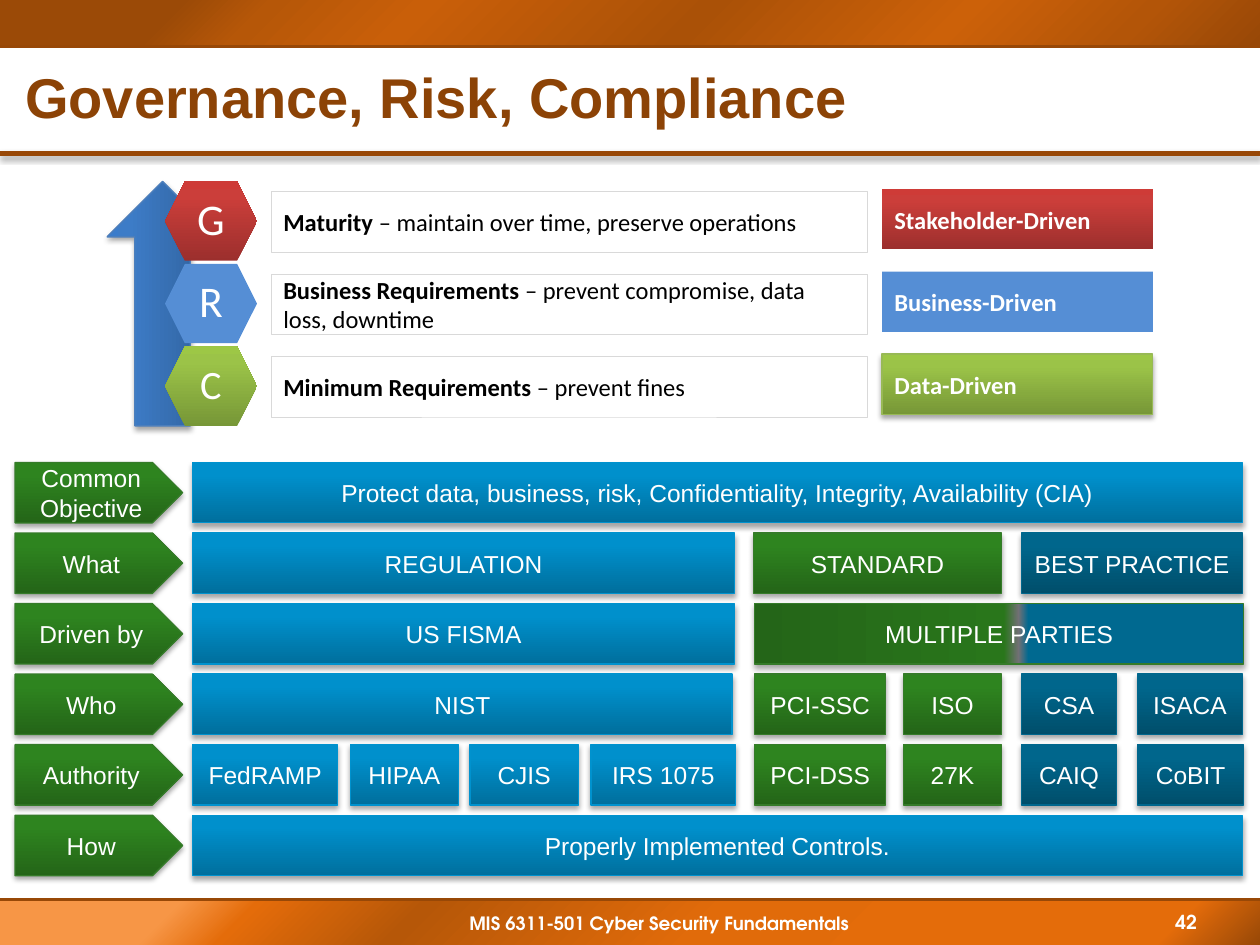
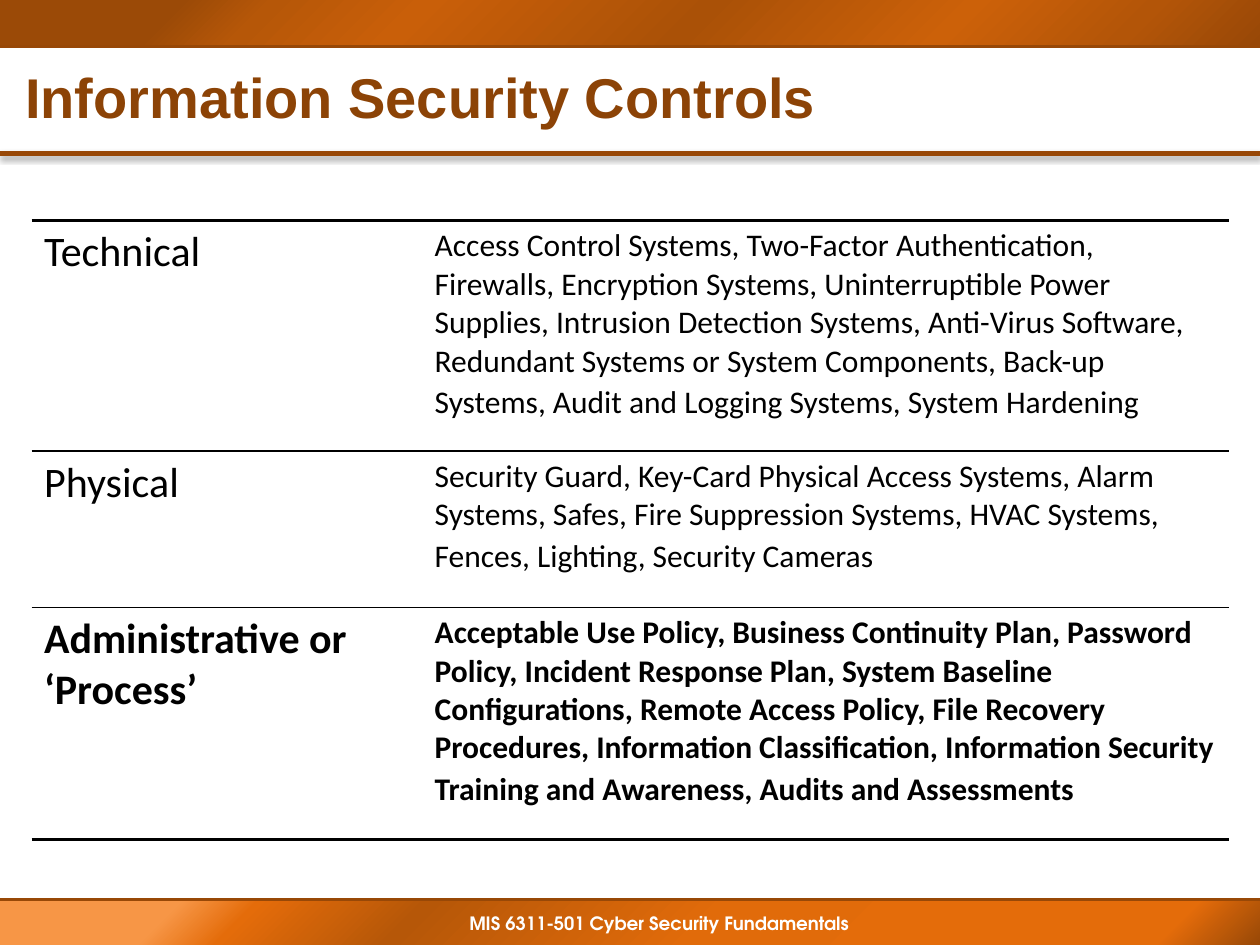
from lxml import etree
from pptx import Presentation
from pptx.dml.color import RGBColor
from pptx.enum.shapes import MSO_CONNECTOR, MSO_SHAPE
from pptx.enum.text import MSO_ANCHOR, PP_ALIGN
from pptx.oxml import parse_xml
from pptx.oxml.ns import nsdecls, qn
from pptx.util import Inches, Pt

RECT, HEXAGON = MSO_SHAPE.RECTANGLE, MSO_SHAPE.HEXAGON
ARROW, LABEL = MSO_SHAPE.RIGHT_ARROW, MSO_SHAPE.PENTAGON
STRAIGHT = MSO_CONNECTOR.STRAIGHT
LEFT, CENTER = PP_ALIGN.LEFT, PP_ALIGN.CENTER
TOP, MIDDLE = MSO_ANCHOR.TOP, MSO_ANCHOR.MIDDLE

# Palette: a fill is a hex string or (angle, gradient stops)
BROWN, TITLE, WHITE, BLACK = "984807", "8C4306", "FFFFFF", "000000"
HEADER = (45, [(14, "9B4A07"), (21, "B65708"), (33, "C95F09"), (55, "AA5107"),
               (75, "CC6109"), (89, "B35508"), (100, BROWN)])
FOOTER = (45, [(14, "F79646"), (20, "E46C0A"), (33, "B65708"), (56, "E16B0A"),
               (78, "E46C0A"), (92, "E46C0A"), (100, BROWN)])
RED = (270, [(0, "9C2F2D"), (80, "CB3E3A"), (100, "CE3B37")])
LIME = (270, [(0, "779737"), (80, "9BC348"), (100, "9DC746")])
ARROW_BLUE = (270, [(0, "2F5F99"), (80, "3D7CC7"), (100, "3A7CCB")])
BLUE = (270, [(0, "006F9D"), (80, "0090CC"), (100, "0091CD")])
GREEN = (270, [(0, "246518"), (80, "2E841F"), (100, "2D861D")])
TEAL = (270, [(0, "004E6B"), (80, "00668C"), (100, "00668C")])
MIXED = (0, [(0, "246518"), (51, "29761B"), (54, "717074"), (56, "006990"), (100, "006990")])
SKY = "558ED5"
BLUE_LINE, GREEN_LINE, TEAL_LINE, LIME_LINE = "0092CE", "357B29", "00678D", "98B955"
SOFT = (35, 1.8)  # shadow opacity and distance


def paint(sp, fill=None, line=None, width=0.75, shadow=None):
    """Set fill, outline and shadow of a shape or connector."""
    spPr = sp._element.spPr
    if isinstance(fill, str):
        sp.fill.solid()
        sp.fill.fore_color.rgb = RGBColor.from_string(fill)
    elif fill:
        angle, stops = fill
        gs = "".join(f'<a:gs pos="{pos * 1000}"><a:srgbClr val="{c}"/></a:gs>' for pos, c in stops)
        sp.fill.gradient()
        spPr.replace(spPr.find(qn("a:gradFill")), parse_xml(
            f'<a:gradFill {nsdecls("a")} rotWithShape="1"><a:gsLst>{gs}</a:gsLst>'
            f'<a:lin ang="{angle * 60000}" scaled="0"/></a:gradFill>'))
    if line:
        sp.line.color.rgb = RGBColor.from_string(line)
        sp.line.width = Pt(width)
    else:
        sp.line.fill.background()
    effects = etree.SubElement(spPr, qn("a:effectLst"))
    if shadow:
        opacity, dist = shadow
        effects.append(parse_xml(
            f'<a:outerShdw {nsdecls("a")} blurRad="{Pt(3.1)}" dist="{Pt(dist)}" dir="5400000" '
            f'rotWithShape="0"><a:srgbClr val="{BLACK}"><a:alpha val="{opacity * 1000}"/>'
            f'</a:srgbClr></a:outerShdw>'))


def write(tf, *texts, size=14, font="Arial", color=WHITE, bold=(False,), align=CENTER,
          anchor=MIDDLE, spacing=None, margins=(0.1, 0.05, 0.1, 0.05)):
    """Write runs into one paragraph; bold holds one flag per run."""
    tf.word_wrap = True
    tf.vertical_anchor = anchor
    tf.margin_left, tf.margin_top, tf.margin_right, tf.margin_bottom = map(Inches, margins)
    p = tf.paragraphs[0]
    p.alignment = align
    if spacing:
        p.line_spacing = spacing
    for text, flag in zip(texts, bold):
        r = p.add_run()
        r.text = text
        r.font.size, r.font.name, r.font.bold = Pt(size), font, flag
        r.font.color.rgb = RGBColor.from_string(color)


prs = Presentation()
prs.slide_width, prs.slide_height = Inches(10), Inches(7.5)

# Shared bands, rules, footer and title
for title in ("Governance, Risk, Compliance", "Information Security Controls"):
    s = prs.slides.add_slide(prs.slide_layouts[6])
    for top, fill in ((7.14, FOOTER), (0, HEADER)):
        sp = s.shapes.add_shape(RECT, 0, Inches(top), Inches(10), Inches(0.36))
        paint(sp, fill)
    for y, width, shadow in ((1.22, 3, (38, 1.6)), (7.14, 1.5, None), (0.37, 1.5, None)):
        cn = s.shapes.add_connector(STRAIGHT, 0, Inches(y), Inches(10), Inches(y))
        paint(cn, line=BROWN, width=width, shadow=shadow)
    tb = s.shapes.add_textbox(Inches(1.42), Inches(7.19), Inches(7.42), Inches(0.29))
    write(tb.text_frame, "MIS 6311-501 Cyber Security Fundamentals", size=10.5,
          font="TeX Gyre Adventor", bold=(True,), anchor=TOP, margins=(0.3, 0.05, 0.1, 0.05))
    tb = s.shapes.add_textbox(0, Inches(0.42), Inches(10), Inches(0.75))
    write(tb.text_frame, title, size=32, color=TITLE, bold=(True,), align=LEFT,
          spacing=0.9, margins=(0.2, 0.05, 0.1, 0.05))

# Slide 1: page number
s = prs.slides[0]
tb = s.shapes.add_textbox(Inches(9), Inches(7.17), Inches(0.83), Inches(0.29))
write(tb.text_frame, "42", size=11, font="TeX Gyre Adventor", bold=(True,))

# Upward arrow behind the hexagons
sp = s.shapes.add_shape(ARROW, Inches(0.32), Inches(1.97), Inches(1.94), Inches(0.88))
sp.rotation = 270
paint(sp, ARROW_BLUE, "4B7EBC", shadow=SOFT)

# G, R, C levels: hexagon, explanation, driver
levels = [
    ("G", 25, "Maturity", " – maintain over time, preserve operations",
     "Stakeholder-Driven", RED, None, None),
    ("R", 25, "Business Requirements ", "– prevent compromise, data loss, downtime",
     "Business-Driven", SKY, None, None),
    ("C", 23, "Minimum Requirements", " – prevent fines",
     "Data-Driven", LIME, LIME_LINE, SOFT),
]
for i, (letter, size, name, detail, driver, fill, line, shadow) in enumerate(levels):
    y = 1.44 + 0.655 * i
    sp = s.shapes.add_shape(HEXAGON, Inches(1.31), Inches(y), Inches(0.73), Inches(0.63))
    paint(sp, fill)
    write(sp.text_frame, letter, size=size, font="Calibri", spacing=0.9, margins=(0, 0, 0, 0))
    sp = s.shapes.add_shape(RECT, Inches(2.15), Inches(y + 0.08), Inches(4.73), Inches(0.48))
    paint(sp, WHITE, "D9D9D9", 0.25)
    write(sp.text_frame, name, detail, font="Calibri", color=BLACK, bold=(True, False), align=LEFT)
    sp = s.shapes.add_shape(RECT, Inches(7), Inches(y + 0.06), Inches(2.15), Inches(0.48))
    paint(sp, fill, line, shadow=shadow)
    write(sp.text_frame, driver, font="Calibri", bold=(True,), align=LEFT)

# Framework grid: row label, then (text, left, width, fill, line)
rows = [
    ("Common Objective", [
        ("Protect data, business, risk, Confidentiality, Integrity, Availability (CIA)",
         1.53, 8.33, BLUE, BLUE_LINE)]),
    ("What", [
        ("REGULATION", 1.53, 4.3, BLUE, BLUE_LINE),
        ("STANDARD", 5.98, 1.97, GREEN, GREEN_LINE),
        ("BEST PRACTICE", 8.11, 1.75, TEAL, TEAL_LINE)]),
    ("Driven by", [
        ("US FISMA", 1.53, 4.3, BLUE, BLUE_LINE),
        ("MULTIPLE PARTIES", 5.99, 3.88, MIXED, GREEN_LINE)]),
    ("Who", [
        ("NIST", 1.53, 4.28, BLUE, BLUE_LINE),
        ("PCI-SSC", 5.99, 1.04, GREEN, GREEN_LINE),
        ("ISO", 7.17, 0.78, GREEN, GREEN_LINE),
        ("CSA", 8.11, 0.75, TEAL, TEAL_LINE),
        ("ISACA", 9.03, 0.83, TEAL, TEAL_LINE)]),
    ("Authority", [
        ("FedRAMP", 1.53, 1.15, BLUE, BLUE_LINE),
        ("HIPAA", 2.78, 0.86, BLUE, BLUE_LINE),
        ("CJIS", 3.73, 0.86, BLUE, BLUE_LINE),
        ("IRS 1075", 4.69, 1.15, BLUE, BLUE_LINE),
        ("PCI-DSS", 5.99, 1.04, GREEN, GREEN_LINE),
        ("27K", 7.17, 0.78, GREEN, GREEN_LINE),
        ("CAIQ", 8.11, 0.75, TEAL, TEAL_LINE),
        ("CoBIT", 9.03, 0.84, TEAL, TEAL_LINE)]),
    ("How", [
        ("Properly Implemented Controls.", 1.53, 8.33, BLUE, BLUE_LINE)]),
]
for i, (label, boxes) in enumerate(rows):
    y = 3.67 + 0.56 * i
    label_box = (label, 0.12, 1.33, GREEN, GREEN_LINE)
    for text, x, w, fill, line in [label_box] + boxes:
        kind = LABEL if text == label else RECT
        sp = s.shapes.add_shape(kind, Inches(x), Inches(y), Inches(w), Inches(0.48))
        paint(sp, fill, line, shadow=SOFT)
        write(sp.text_frame, text)

# Slide 2: table of controls; rules are (top, bottom) widths in points
s = prs.slides[1]
controls = [
    ("Technical",
     "Access Control Systems, Two-Factor Authentication, Firewalls, Encryption Systems, "
     "Uninterruptible Power Supplies, Intrusion Detection Systems, Anti-Virus Software, "
     "Redundant Systems or System Components, Back-up Systems, Audit and Logging Systems, "
     "System Hardening", 1.83, (2, 1), False),
    ("Physical",
     "Security Guard, Key-Card Physical Access Systems, Alarm Systems, Safes, Fire Suppression "
     "Systems, HVAC Systems, Fences, Lighting, Security Cameras", 1.24, (1, 1), False),
    ("Administrative or ‘Process’",
     "Acceptable Use Policy, Business Continuity Plan, Password Policy, Incident Response Plan, "
     "System Baseline Configurations, Remote Access Policy, File Recovery Procedures, "
     "Information Classification, Information Security Training and Awareness, "
     "Audits and Assessments", 1.84, (1, 2), True),
]
table = s.shapes.add_table(3, 2, Inches(0.25), Inches(1.75), Inches(9.5), Inches(4.91)).table
table.first_row = table.horz_banding = False
table.columns[0].width, table.columns[1].width = Inches(3.1), Inches(6.4)
for i, (name, examples, height, (top, bottom), bold) in enumerate(controls):
    table.rows[i].height = Inches(height)
    for j, (text, size) in enumerate(((name, 24), (examples, 18))):
        cell = table.cell(i, j)
        cell.fill.solid()
        cell.fill.fore_color.rgb = RGBColor.from_string(WHITE)
        write(cell.text_frame, text, size=size, font="Calibri", color=BLACK,
              bold=(bold,), align=LEFT, anchor=TOP)
        tcPr = cell._tc.get_or_add_tcPr()
        for k, (side, width) in enumerate((("L", 0), ("R", 0), ("T", top), ("B", bottom))):
            stroke = (f'<a:solidFill><a:srgbClr val="{BLACK}"/></a:solidFill>'
                      if width else "<a:noFill/>")
            tcPr.insert(k, parse_xml(
                f'<a:ln{side} {nsdecls("a")} w="{Pt(width)}">{stroke}</a:ln{side}>'))
    # The examples end in a slightly taller space
    r = table.cell(i, 1).text_frame.paragraphs[0].add_run()
    r.text = " "
    r.font.size, r.font.name = Pt(20), "Calibri"

prs.save("out.pptx")
